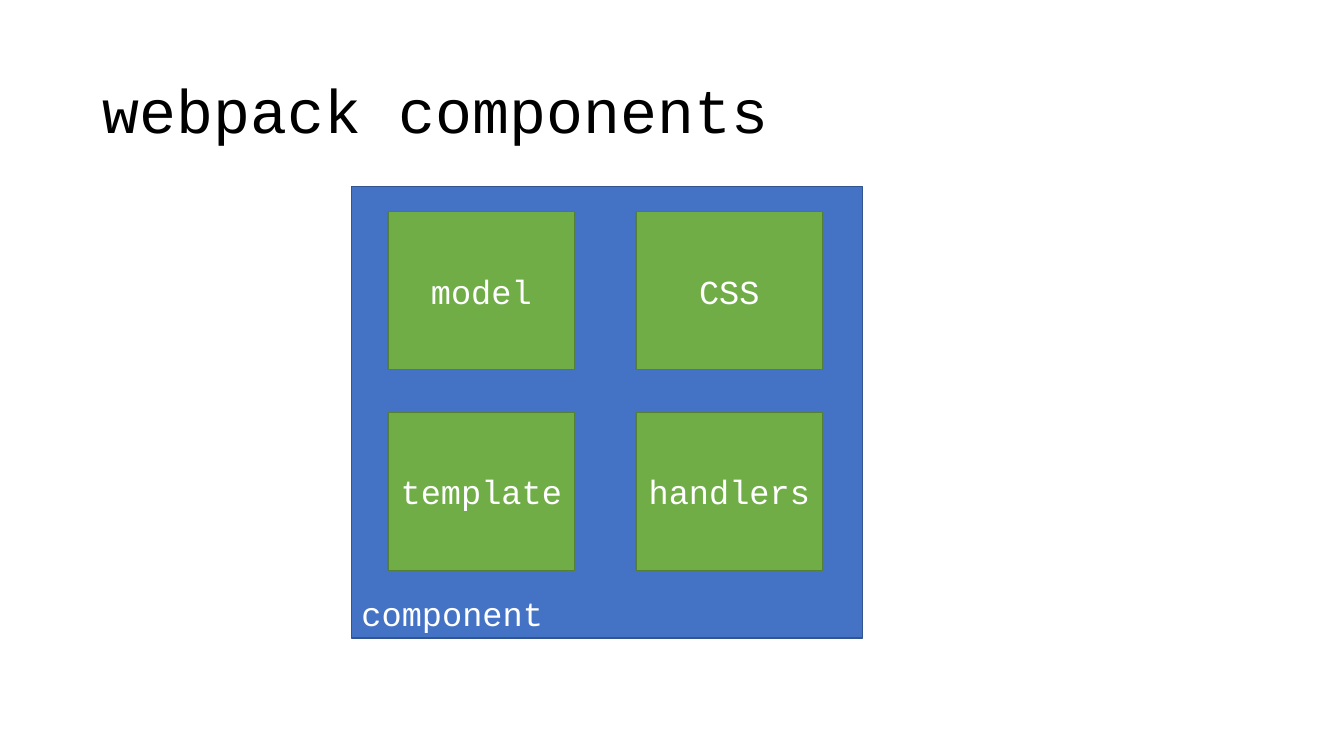
"""Build the webpack components slide."""
from dataclasses import dataclass

from pptx import Presentation
from pptx.dml.color import RGBColor
from pptx.enum.shapes import MSO_SHAPE
from pptx.enum.text import MSO_ANCHOR, PP_ALIGN
from pptx.util import Cm, Pt

RECTANGLE = MSO_SHAPE.RECTANGLE
MIDDLE, BOTTOM = MSO_ANCHOR.MIDDLE, MSO_ANCHOR.BOTTOM
LEFT, CENTER = PP_ALIGN.LEFT, PP_ALIGN.CENTER

TITLE = "webpack components"
COMPONENT = "component"
PARTS = [
    ["model", "CSS"],
    ["template", "handlers"],
]


@dataclass(frozen=True)
class Theme:
    font: str = "Courier New"
    title_size: int = 44
    label_size: int = 24
    title_color: str = "000000"
    label_color: str = "FFFFFF"
    component_fill: str = "4472C4"
    component_line: str = "325491"
    part_fill: str = "70AD47"
    part_line: str = "538035"


THEME = Theme()
SLIDE_SIZE = (33.87, 19.05)
TITLE_AREA = (2.34, 1.02, 29.21, 3.68)
COMPONENT_AREA = (8.86, 4.7, 12.88, 11.38)
PART_ORIGIN = (9.78, 5.33)
PART_SIZE = (4.7, 3.99)
PART_PITCH = (6.25, 5.06)


def write(shape, text, size=THEME.label_size, color=THEME.label_color,
          align=CENTER, anchor=MIDDLE, line_spacing=1.0):
    frame = shape.text_frame
    frame.word_wrap = True
    frame.vertical_anchor = anchor
    para = frame.paragraphs[0]
    para.alignment = align
    para.line_spacing = line_spacing
    span = para.add_run()
    span.text = text
    span.font.name = THEME.font
    span.font.size = Pt(size)
    span.font.color.rgb = RGBColor.from_string(color)


def add_box(page, area, fill, line):
    box = page.shapes.add_shape(RECTANGLE, *map(Cm, area))
    box.shadow.inherit = False
    box.fill.solid()
    box.fill.fore_color.rgb = RGBColor.from_string(fill)
    box.line.color.rgb = RGBColor.from_string(line)
    box.line.width = Pt(1)
    return box


def main():
    deck = Presentation()
    deck.slide_width, deck.slide_height = map(Cm, SLIDE_SIZE)
    page = deck.slides.add_slide(deck.slide_layouts.get_by_name("Title Only"))

    title = page.shapes.title
    title.left, title.top, title.width, title.height = map(Cm, TITLE_AREA)
    write(title, TITLE, size=THEME.title_size, color=THEME.title_color,
          align=LEFT, line_spacing=0.9)

    component = add_box(page, COMPONENT_AREA, THEME.component_fill, THEME.component_line)
    write(component, COMPONENT, align=LEFT, anchor=BOTTOM)

    for row, labels in enumerate(PARTS):
        for column, label in enumerate(labels):
            left = PART_ORIGIN[0] + column * PART_PITCH[0]
            top = PART_ORIGIN[1] + row * PART_PITCH[1]
            part = add_box(page, (left, top, *PART_SIZE), THEME.part_fill, THEME.part_line)
            write(part, label)

    deck.save("out.pptx")


if __name__ == "__main__":
    main()
